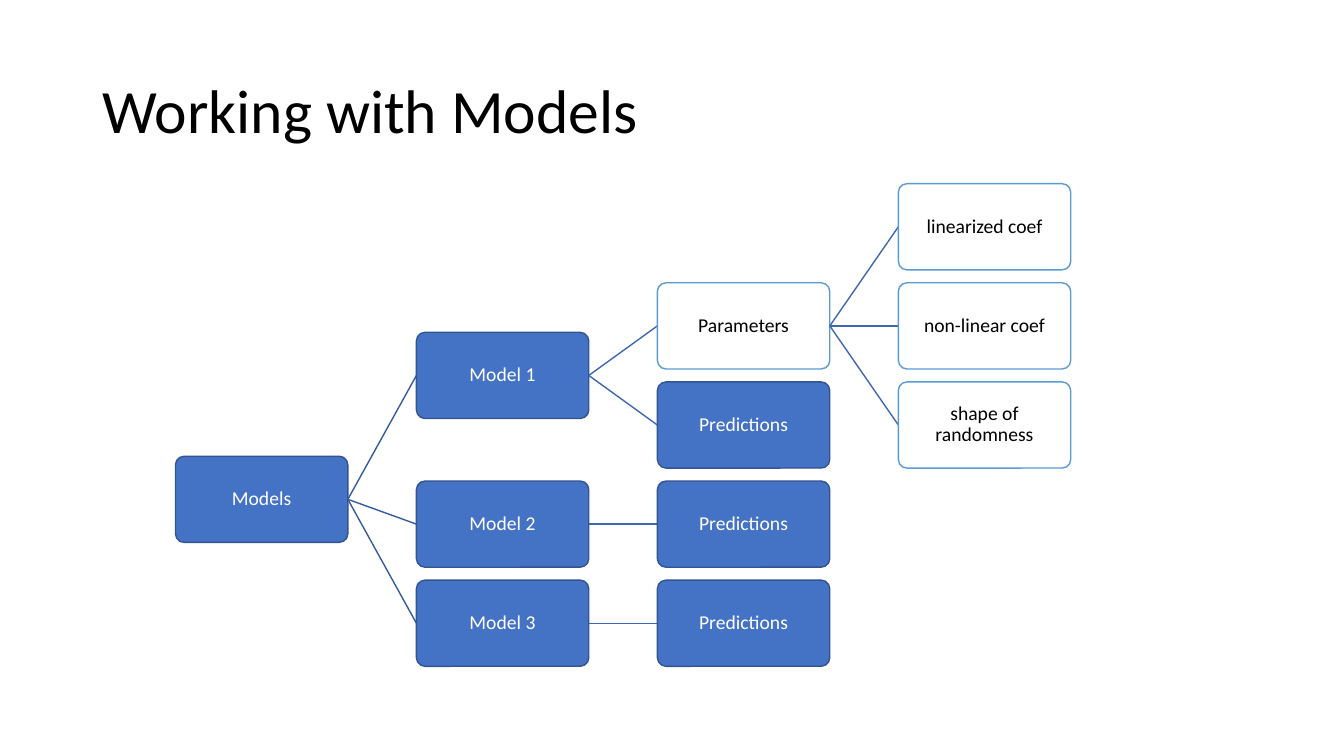
"""Build the "Working with Models" slide: a tree of models and their outputs."""
from dataclasses import dataclass

from lxml.etree import SubElement
from pptx import Presentation
from pptx.dml.color import RGBColor
from pptx.enum.shapes import MSO_CONNECTOR, MSO_SHAPE
from pptx.enum.text import MSO_ANCHOR, PP_ALIGN
from pptx.oxml.ns import qn
from pptx.slide import Slide
from pptx.text.text import TextFrame
from pptx.util import Inches, Length, Pt

FONT = "Calibri"
BOX_WIDTH = Inches(1.71)
BOX_HEIGHT = BOX_WIDTH // 2
LEVEL_PITCH = Inches(2.39)
ROW_PITCH = int(BOX_HEIGHT * 1.15)
TREE_LEFT = Inches(1.74)
FIRST_ROW_CENTER = Inches(2.25)


@dataclass(frozen=True)
class BoxStyle:
    """Colours of a tree box."""

    fill: str
    line: str
    text: str


SOLID = BoxStyle("4472C4", "325491", "FFFFFF")
OUTLINED = BoxStyle("FFFFFF", "5B9BD5", "000000")


@dataclass(frozen=True)
class Node:
    """A tree box; a leaf has its own row and a parent is centred on its children."""

    label: str
    style: BoxStyle = SOLID
    leaf_row: float = 0
    children: tuple["Node", ...] = ()
    branch_color: str = "3E67B2"

    @property
    def row(self) -> float:
        """Return the row on which the box is centred."""
        if not self.children:
            return self.leaf_row
        return (self.children[0].row + self.children[-1].row) / 2

    @property
    def center(self) -> int:
        """Return the vertical centre of the box."""
        return FIRST_ROW_CENTER + int(self.row * ROW_PITCH)


PARAMETERS = Node("Parameters", OUTLINED, children=(
    Node("linearized coef", OUTLINED, 0),
    Node("non-linear coef", OUTLINED, 1),
    Node("shape of randomness", OUTLINED, 2),
))
MODELS = Node("Models", branch_color="365B9D", children=(
    Node("Model 1", children=(PARAMETERS, Node("Predictions", leaf_row=2))),
    Node("Model 2", children=(Node("Predictions", leaf_row=3),)),
    Node("Model 3", children=(Node("Predictions", leaf_row=4),)),
))


def rgb(color: str) -> RGBColor:
    """Return the colour for a hex string."""
    return RGBColor.from_string(color)


def write(frame: TextFrame, text: str, size: Length, color: str, align: PP_ALIGN) -> None:
    """Put one vertically centred paragraph in a text frame."""
    frame.word_wrap = True
    frame.vertical_anchor = MSO_ANCHOR.MIDDLE
    paragraph = frame.paragraphs[0]
    paragraph.text = text
    paragraph.alignment = align
    paragraph.line_spacing = 0.9
    paragraph.font.name = FONT
    paragraph.font.size = size
    paragraph.font.color.rgb = rgb(color)


def draw_title(slide: Slide, text: str) -> None:
    """Draw the slide title."""
    title = slide.shapes.add_textbox(Inches(0.92), Inches(0.4), Inches(11.5), Inches(1.45))
    write(title.text_frame, text, Pt(44), "000000", PP_ALIGN.LEFT)


def draw_branch(slide: Slide, parent: Node, child: Node, start: int, end: int) -> None:
    """Draw the line from a parent box to a child box."""
    branch = slide.shapes.add_connector(
        MSO_CONNECTOR.STRAIGHT, start, parent.center, end, child.center)
    branch.line.color.rgb = rgb(parent.branch_color)
    branch.line.width = Pt(1)
    SubElement(branch._element.spPr, qn("a:effectLst"))


def draw_box(slide: Slide, node: Node, left: int) -> None:
    """Draw the rounded box of a node."""
    box = slide.shapes.add_shape(
        MSO_SHAPE.ROUNDED_RECTANGLE, left, node.center - BOX_HEIGHT // 2, BOX_WIDTH, BOX_HEIGHT)
    box.adjustments[0] = 0.1
    box.shadow.inherit = False
    box.fill.solid()
    box.fill.fore_color.rgb = rgb(node.style.fill)
    box.line.color.rgb = rgb(node.style.line)
    box.line.width = Pt(1)
    frame = box.text_frame
    frame.margin_left = frame.margin_right = Inches(0.01)
    frame.margin_top = frame.margin_bottom = Inches(0.01)
    write(frame, node.label, Pt(14), node.style.text, PP_ALIGN.CENTER)


def draw_tree(slide: Slide, node: Node, left: int) -> None:
    """Draw a node, its branches and everything below it."""
    draw_box(slide, node, left)
    child_left = left + LEVEL_PITCH
    for child in node.children:
        draw_branch(slide, node, child, left + BOX_WIDTH, child_left)
        draw_tree(slide, child, child_left)


def main() -> None:
    """Build and save the presentation."""
    presentation = Presentation()
    presentation.slide_width = Inches(13.33)
    presentation.slide_height = Inches(7.5)
    slide = presentation.slides.add_slide(presentation.slide_layouts[6])
    draw_title(slide, "Working with Models")
    draw_tree(slide, MODELS, TREE_LEFT)
    presentation.save("out.pptx")


main()
